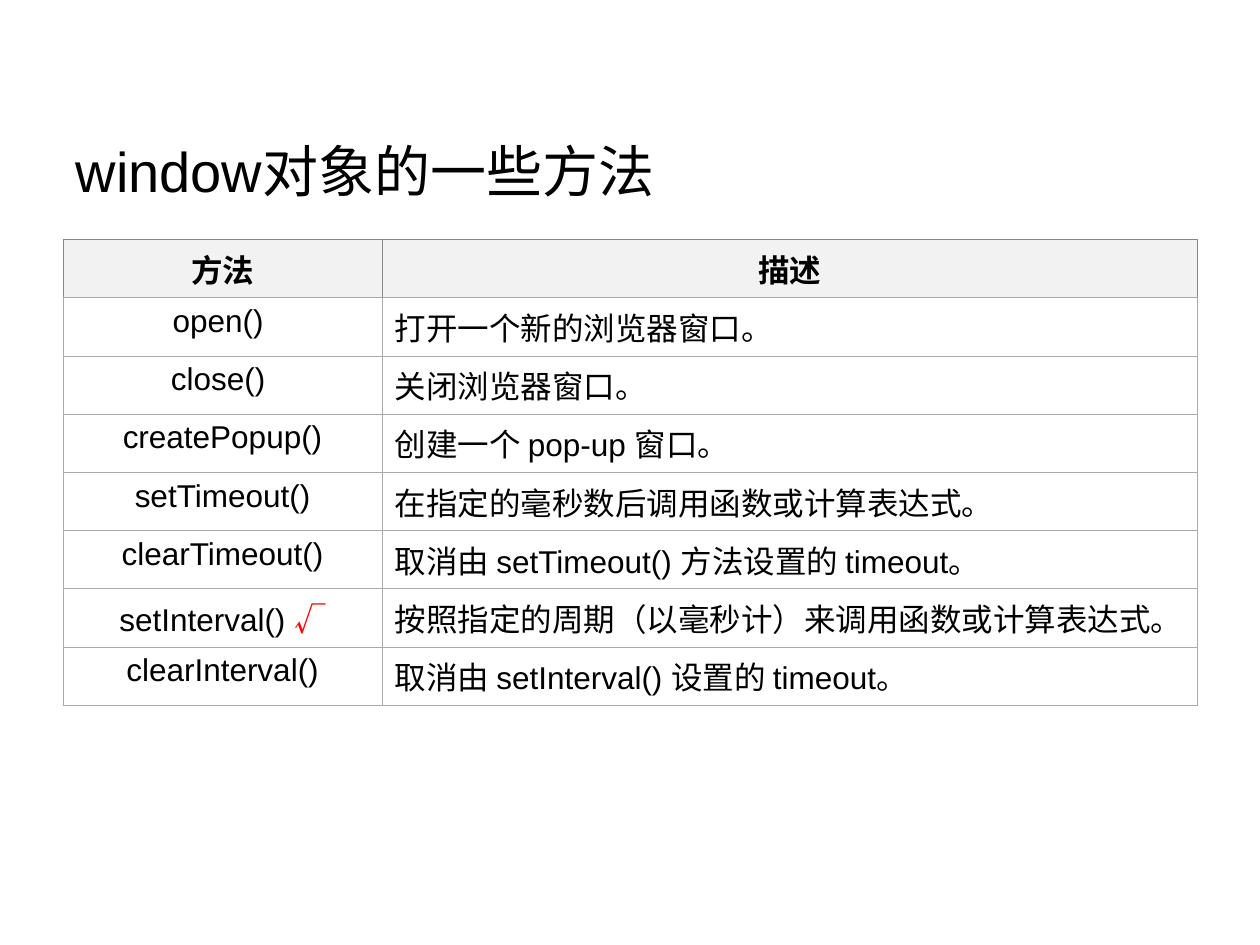
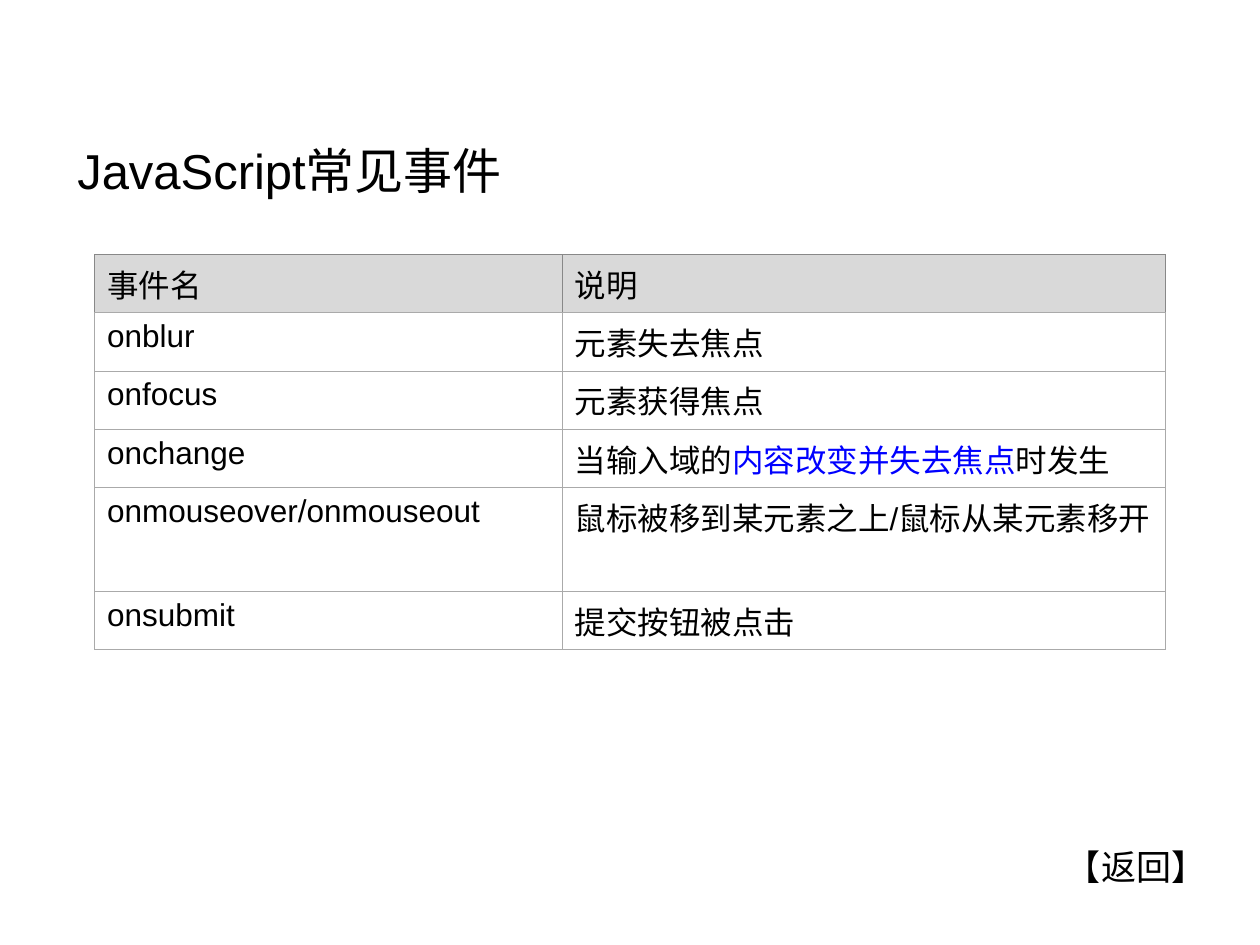
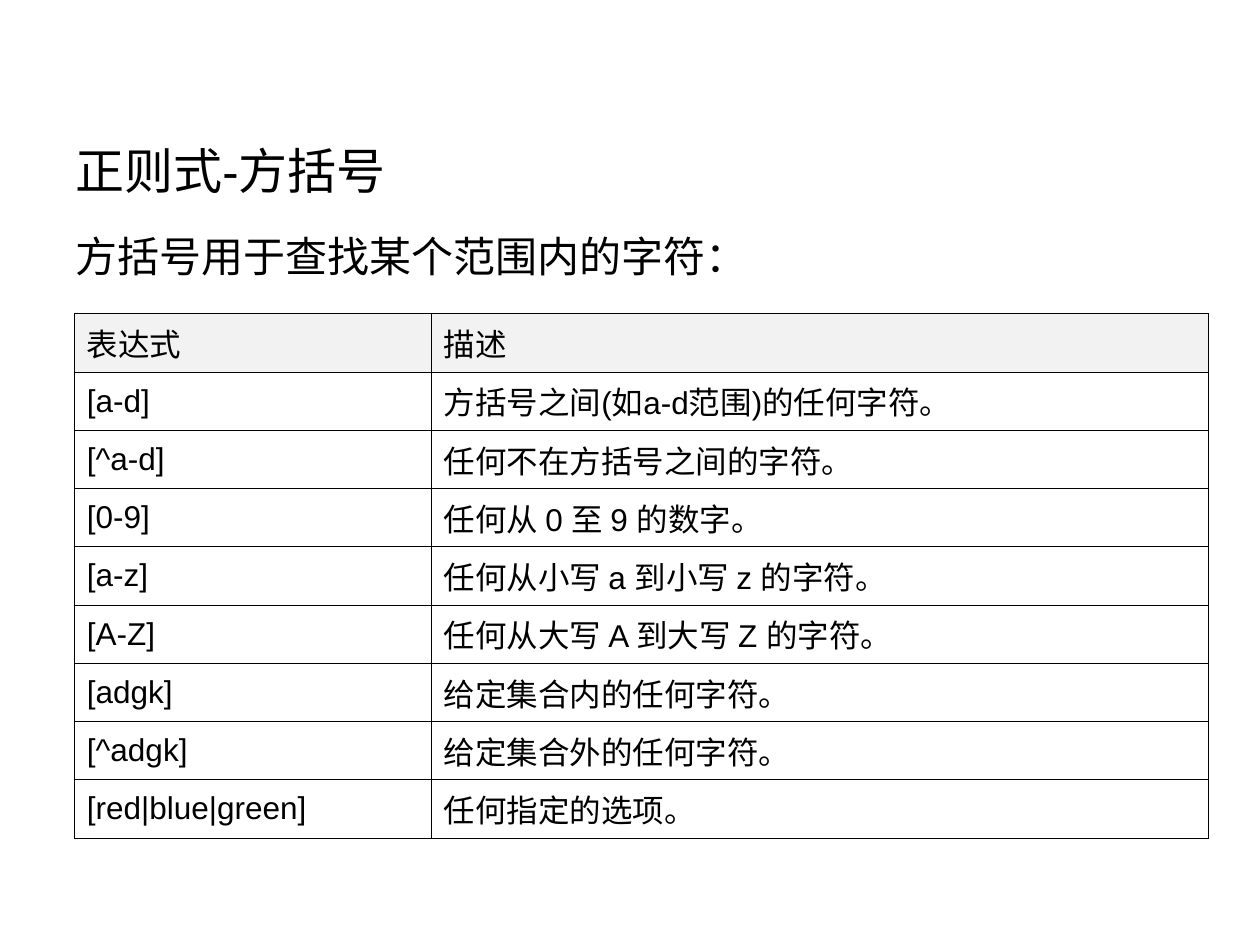
import pptx
import pptx.dml.color
import pptx.enum.text
import pptx.oxml
import pptx.oxml.ns
import pptx.util

Pt = pptx.util.Pt
ALIGN = pptx.enum.text.PP_ALIGN
ANCHOR = pptx.enum.text.MSO_ANCHOR
FIT = pptx.enum.text.MSO_AUTO_SIZE

LATIN, HAN = "Arial", "Noto Sans CJK SC"
BLACK, WHITE, RED, BLUE = "000000", "FFFFFF", "FF0000", "0000FF"
PALE, GREY, DARK, LIGHT = "F2F2F2", "D9D9D9", "888888", "AAAAAA"
ROW, HANG, LINE = 28.8, 27, 0.45
TITLE_ONLY, TITLE_BODY = 5, 1

# A cell is plain text or a list of (text, colour, font) runs.
SLIDES = [
    {
        "title": "window对象的一些方法", "size": 32, "left": 36,
        "table": {
            "at": (36, 136.8), "cols": (182.4, 465.6),
            "head": PALE, "body": WHITE, "edge": DARK, "rule": LIGHT,
            "bold": True, "hang": HANG, "mid": False, "center": True,
            "rows": [
                ("方法", "描述"),
                ("open() ", "打开一个新的浏览器窗口。"),
                ("close() ", "关闭浏览器窗口。"),
                ("createPopup()", "创建一个 pop-up 窗口。"),
                ("setTimeout()", "在指定的毫秒数后调用函数或计算表达式。"),
                ("clearTimeout()", "取消由 setTimeout() 方法设置的 timeout。"),
                ([("setInterval() ", BLACK, LATIN), ("√", RED, HAN)],
                 "按照指定的周期（以毫秒计）来调用函数或计算表达式。"),
                ("clearInterval()", "取消由 setInterval() 设置的 timeout。"),
            ],
        },
    },
    {
        "title": "JavaScript常见事件", "size": 28, "left": 37,
        "back": " 【返回】",
        "table": {
            "at": (54, 145.44), "cols": (267.12, 344.88),
            "head": GREY, "body": None, "edge": DARK, "rule": LIGHT,
            "bold": False, "hang": HANG, "mid": False, "center": False,
            "rows": [
                ("事件名", "说明"),
                ("onblur", "元素失去焦点"),
                ("onfocus", "元素获得焦点"),
                ("onchange", [("当输入域的", BLACK, LATIN),
                              ("内容改变并失去焦点", BLUE, LATIN),
                              ("时发生", BLACK, LATIN)]),
                ("onmouseover/onmouseout", "鼠标被移到某元素之上/鼠标从某元素移开"),
                ("onsubmit", "提交按钮被点击"),
            ],
        },
    },
    {
        "title": "正则式-方括号", "size": 28, "left": 36,
        "intro": "方括号用于查找某个范围内的字符：",
        "table": {
            "at": (42.48, 179.28), "cols": (204, 444),
            "head": PALE, "body": None, "edge": BLACK, "rule": BLACK,
            "bold": False, "hang": 0, "mid": True, "center": False,
            "rows": [
                ("表达式", "描述"),
                ("[a-d]", "方括号之间(如a-d范围)的任何字符。"),
                ("[^a-d]", "任何不在方括号之间的字符。"),
                ("[0-9]", "任何从 0 至 9 的数字。"),
                ("[a-z]", "任何从小写 a 到小写 z 的字符。"),
                ("[A-Z]", "任何从大写 A 到大写 Z 的字符。"),
                ("[adgk]", "给定集合内的任何字符。"),
                ("[^adgk]", "给定集合外的任何字符。"),
                ("[red|blue|green]", "任何指定的选项。"),
            ],
        },
    },
]


def color(code):
    return pptx.dml.color.RGBColor.from_string(code)


def apply(thing, values):
    for name, value in values.items():
        setattr(thing, name, value)


def add(parent, tag, **values):
    child = pptx.oxml.parse_xml(f"<{tag} {pptx.oxml.ns.nsdecls('a')}/>")
    for name, value in values.items():
        child.set(name, str(value))
    parent.append(child)
    return child


def write(frame, text, size, bold=False, align=ALIGN.LEFT, hang=0):
    para = frame.paragraphs[0]
    apply(para, {"alignment": align, "space_before": Pt(0)})
    props = para._p.get_or_add_pPr()
    props.set("marL", str(Pt(hang)))
    props.set("indent", str(-Pt(hang)))
    add(props, "a:buNone")
    runs = [(text, BLACK, LATIN)] if isinstance(text, str) else text
    for part, code, face in runs:
        run = para.add_run()
        run.text = part
        apply(run.font, {"name": face, "size": Pt(size), "bold": bold})
        run.font.color.rgb = color(code)
        add(run._r.get_or_add_rPr(), "a:ea", typeface=HAN)


def place(shape, left, top, width, height):
    apply(shape, {"left": Pt(left), "top": Pt(top),
                  "width": Pt(width), "height": Pt(height)})


def border(cell, codes):
    """Draw the left, right, top and bottom edges in the given colours."""
    props = cell._tc.get_or_add_tcPr()
    for side, code in zip("LRTB", codes):
        fill = add(add(props, f"a:ln{side}", w=Pt(LINE)), "a:solidFill")
        add(fill, "a:srgbClr", val=code)


def paint(cell, code):
    if code:
        cell.fill.solid()
        cell.fill.fore_color.rgb = color(code)
    else:
        cell.fill.background()


def add_grid(slide, spec):
    rows, cols = spec["rows"], spec["cols"]
    size = (*spec["at"], sum(cols), ROW * len(rows))
    grid = slide.shapes.add_table(len(rows), len(cols), *map(Pt, size)).table
    apply(grid, {"first_row": False, "horz_banding": False})
    for col, width in zip(grid.columns, cols):
        col.width = Pt(width)
    for r, row in enumerate(rows):
        head = r == 0
        edge = spec["edge"] if head else spec["rule"]
        for c, text in enumerate(row):
            cell = grid.cell(r, c)
            center = spec["center"] and (head or c == 0)
            middle = head or spec["mid"]
            cell.vertical_anchor = ANCHOR.MIDDLE if middle else ANCHOR.TOP
            border(cell, (edge, edge, edge, spec["rule"]))
            paint(cell, spec["head"] if head else spec["body"])
            write(cell.text_frame, text, 18, head and spec["bold"],
                  ALIGN.CENTER if center else ALIGN.LEFT, spec["hang"])


def add_slide(deck, page):
    intro = page.get("intro")
    layout = deck.slide_layouts[TITLE_BODY if intro else TITLE_ONLY]
    slide = deck.slides.add_slide(layout)
    title = slide.shapes.title
    place(title, page["left"], 71.5, 648, 51)
    apply(title.text_frame, {"auto_size": FIT.NONE,
                             "vertical_anchor": ANCHOR.MIDDLE})
    write(title.text_frame, page["title"], page["size"])
    if intro:
        body = slide.placeholders[1]
        place(body, 36, 128.16, 648, 351.36)
        body.text_frame.auto_size = FIT.NONE
        write(body.text_frame, intro, 24, hang=HANG)
    add_grid(slide, page["table"])
    if "back" in page:
        box = slide.shapes.add_textbox(*map(Pt, (597.6, 479.52, 102, 31.68)))
        apply(box.text_frame, {"word_wrap": False,
                               "auto_size": FIT.SHAPE_TO_FIT_TEXT})
        write(box.text_frame, page["back"], 20)


def main():
    deck = pptx.Presentation()
    apply(deck, {"slide_width": Pt(720), "slide_height": Pt(540)})
    for page in SLIDES:
        add_slide(deck, page)
    deck.save("out.pptx")


if __name__ == "__main__":
    main()
